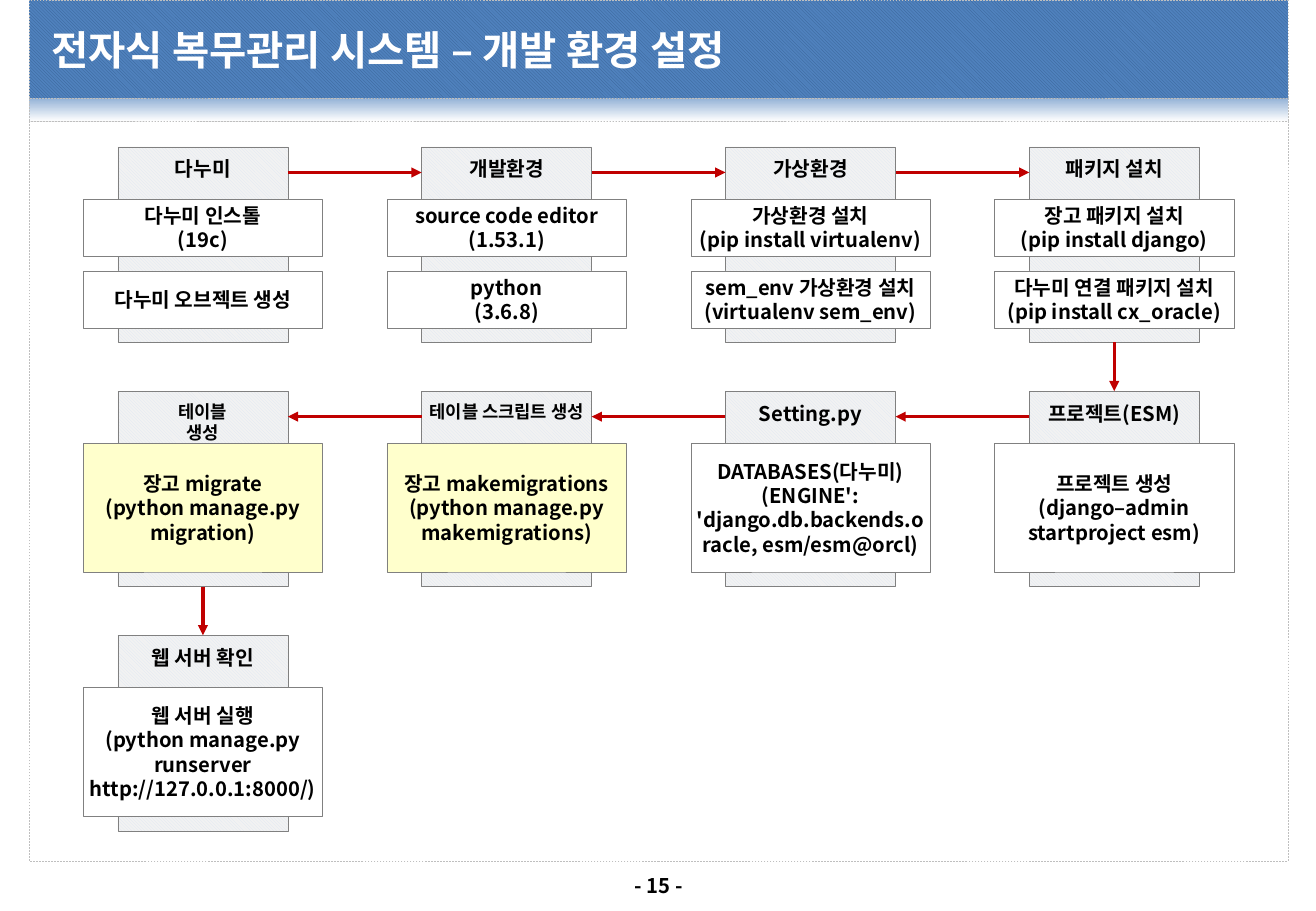
"""Build the development environment setup flow slide."""
from dataclasses import dataclass

from lxml import etree
from pptx import Presentation
from pptx.dml.color import RGBColor
from pptx.enum.dml import MSO_LINE, MSO_PATTERN
from pptx.enum.shapes import MSO_CONNECTOR, MSO_SHAPE
from pptx.enum.text import MSO_ANCHOR, MSO_AUTO_SIZE, PP_ALIGN
from pptx.oxml.ns import qn
from pptx.util import Inches, Pt

RECTANGLE = MSO_SHAPE.RECTANGLE
STRAIGHT = MSO_CONNECTOR.STRAIGHT
HATCH = MSO_PATTERN.LIGHT_DOWNWARD_DIAGONAL
DASH = MSO_LINE.DASH
TOP, MIDDLE = MSO_ANCHOR.TOP, MSO_ANCHOR.MIDDLE
LEFT, CENTER = PP_ALIGN.LEFT, PP_ALIGN.CENTER
SIDE_TOP, SIDE_BOTTOM = 0, 2


@dataclass(frozen=True)
class Theme:
    """Colours, typeface and type sizes of the slide."""
    font: str = "Noto Sans CJK KR"
    title_size: float = 24
    body_size: float = 12
    small_size: float = 10.5
    ink: str = "000000"
    white: str = "FFFFFF"
    highlight: str = "FFFFCC"
    banner: tuple = ("376092", "4F81BD")
    stage: tuple = ("DCE6F2", "F2F2F2")
    fade: tuple = ("95B3D7", "FFFFFF")
    frame_line: str = "BFBFBF"
    box_line: str = "808080"
    arrow: str = "C00000"


@dataclass(frozen=True)
class Step:
    """One stage of the flow with the cards that lie on it."""
    heading: str
    cards: tuple
    fill: str = Theme.white
    size: float = Theme.body_size


THEME = Theme()
COLUMNS = 4
STAGE_LEFT, STAGE_TOP = 0.97, 1.21
COLUMN_PITCH, ROW_PITCH = 2.5, 2.01
STAGE_WIDTH, STAGE_HEIGHT = 1.4, 1.61
CARD_WIDTH, CARD_AREA_HEIGHT = 1.97, 1.06
CARD_OFFSET, CARD_GAP = 0.43, 0.12
ARROW_OFFSET = 0.21
FRAME_LEFT, FRAME_WIDTH = 0.24, 10.36

STEPS = (
    Step("다누미", ("다누미 인스톨\n(19c)", "다누미 오브젝트 생성")),
    Step("개발환경", ("source code editor\n(1.53.1)", "python\n(3.6.8)")),
    Step("가상환경", ("가상환경 설치\n(pip install virtualenv)",
                  "sem_env 가상환경 설치\n(virtualenv sem_env)")),
    Step("패키지 설치", ("장고 패키지 설치\n(pip install django)",
                    "다누미 연결 패키지 설치\n(pip install cx_oracle)")),
    Step("프로젝트(ESM)", ("프로젝트 생성\n(django–admin startproject esm)",)),
    Step("Setting.py", ("DATABASES(다누미)\n(ENGINE': "
                        "'django.db.backends.oracle, esm/esm@orcl)",)),
    Step("테이블 스크립트 생성", ("장고 makemigrations\n(python manage.py makemigrations)",),
         THEME.highlight, THEME.small_size),
    Step("테이블\n생성", ("장고 migrate\n(python manage.py migration)",),
         THEME.highlight, THEME.small_size),
    Step("웹 서버 확인", ("웹 서버 실행\n(python manage.py runserver\n"
                    "http://127.0.0.1:8000/)",)),
)


def rgb(value):
    """Turn a hex string into a colour."""
    return RGBColor.from_string(value)


def write(shape, text, size, color=THEME.ink, align=CENTER, anchor=MIDDLE,
          wrap=True, inset_x=0.04, inset_y=0.04):
    """Set and format the bold text of a shape."""
    frame = shape.text_frame
    frame.text = text
    frame.word_wrap = wrap
    frame.auto_size = MSO_AUTO_SIZE.NONE
    frame.vertical_anchor = anchor
    frame.margin_left = frame.margin_right = Inches(inset_x)
    frame.margin_top = frame.margin_bottom = Inches(inset_y)
    for paragraph in frame.paragraphs:
        paragraph.alignment = align
        for run in paragraph.runs:
            run.font.size = Pt(size)
            run.font.bold = True
            run.font.color.rgb = rgb(color)
            run.font.name = THEME.font
            east_asian = etree.SubElement(run.font._element, qn("a:ea"))
            east_asian.set("typeface", THEME.font)


def add_box(slide, left, top, width, height, line):
    """Add a thinly outlined rectangle without shadow."""
    box = slide.shapes.add_shape(RECTANGLE, Inches(left), Inches(top),
                                 Inches(width), Inches(height))
    box.shadow.inherit = False
    box.line.color.rgb = rgb(line)
    box.line.width = Pt(0.25)
    return box


def fill_solid(box, color):
    """Fill a box with one colour."""
    box.fill.solid()
    box.fill.fore_color.rgb = rgb(color)


def fill_hatch(box, colors):
    """Fill a box with a light diagonal pattern."""
    box.fill.patterned()
    box.fill.pattern = HATCH
    box.fill.fore_color.rgb, box.fill.back_color.rgb = map(rgb, colors)


def fill_fade(box, colors):
    """Fill a box with a gradient from top to bottom."""
    box.fill.gradient()
    box.fill.gradient_angle = 270
    for position, (stop, color) in enumerate(zip(box.fill.gradient_stops, colors)):
        stop.position = position
        stop.color.rgb = rgb(color)


def add_frame(slide):
    """Add the banner, its fade, the content frame and the page number."""
    for top, height, fill, colors in ((0.81, 0.19, fill_fade, THEME.fade),
                                      (1, 6.09, fill_solid, THEME.white),
                                      (0, 0.81, fill_hatch, THEME.banner)):
        band = add_box(slide, FRAME_LEFT, top, FRAME_WIDTH, height, THEME.frame_line)
        band.line.dash_style = DASH
        fill(band, colors)
    page_number = slide.shapes.add_textbox(Inches(5.08), Inches(7.14),
                                           Inches(0.68), Inches(0.3))
    write(page_number, "- 15 -", THEME.body_size, anchor=TOP, wrap=False,
          inset_x=0.1, inset_y=0.05)


def place_title(slide, text):
    """Place the title on top of the banner."""
    title = slide.shapes.title
    title.left, title.top = Inches(0.38), Inches(0.08)
    title.width, title.height = Inches(10.09), Inches(0.66)
    write(title, text, THEME.title_size, THEME.white, LEFT)
    slide.shapes._spTree.append(title._element)


def add_step(slide, index, step):
    """Add a stage and its cards at their place in the winding flow."""
    row, column = divmod(index, COLUMNS)
    if row % 2:
        column = COLUMNS - 1 - column
    left = STAGE_LEFT + column * COLUMN_PITCH
    top = STAGE_TOP + row * ROW_PITCH
    stage = add_box(slide, left, top, STAGE_WIDTH, STAGE_HEIGHT, THEME.box_line)
    fill_hatch(stage, THEME.stage)
    write(stage, step.heading, step.size, anchor=TOP, wrap=False, inset_y=0.08)
    count = len(step.cards)
    height = (CARD_AREA_HEIGHT - (count - 1) * CARD_GAP) / count
    for position, text in enumerate(step.cards):
        card = add_box(slide, left - (CARD_WIDTH - STAGE_WIDTH) / 2,
                       top + CARD_OFFSET + position * (height + CARD_GAP),
                       CARD_WIDTH, height, THEME.box_line)
        fill_solid(card, step.fill)
        write(card, text, THEME.body_size, wrap=count == 1)
    return stage


def add_arrow(slide, source, target):
    """Lead an arrow from one stage to the next."""
    y = source.top + Inches(ARROW_OFFSET)
    if source.left < target.left:
        start, end = source.left + source.width, target.left
    else:
        start, end = source.left, target.left + target.width
    arrow = slide.shapes.add_connector(STRAIGHT, start, y, end, y)
    if source.top != target.top:
        arrow.begin_connect(source, SIDE_BOTTOM)
        arrow.end_connect(target, SIDE_TOP)
    arrow.line.color.rgb = rgb(THEME.arrow)
    arrow.line.width = Pt(2)
    etree.SubElement(arrow.line._get_or_add_ln(), qn("a:tailEnd")).set("type", "triangle")
    etree.SubElement(arrow._element.spPr, qn("a:effectLst"))


def main():
    """Build and save the slide."""
    deck = Presentation()
    deck.slide_width, deck.slide_height = Inches(10.83), Inches(7.5)
    slide = deck.slides.add_slide(deck.slide_layouts[5])
    add_frame(slide)
    place_title(slide, "전자식 복무관리 시스템 – 개발 환경 설정")
    stages = [add_step(slide, index, step) for index, step in enumerate(STEPS)]
    for source, target in zip(stages, stages[1:]):
        add_arrow(slide, source, target)
    deck.save("out.pptx")


if __name__ == "__main__":
    main()
